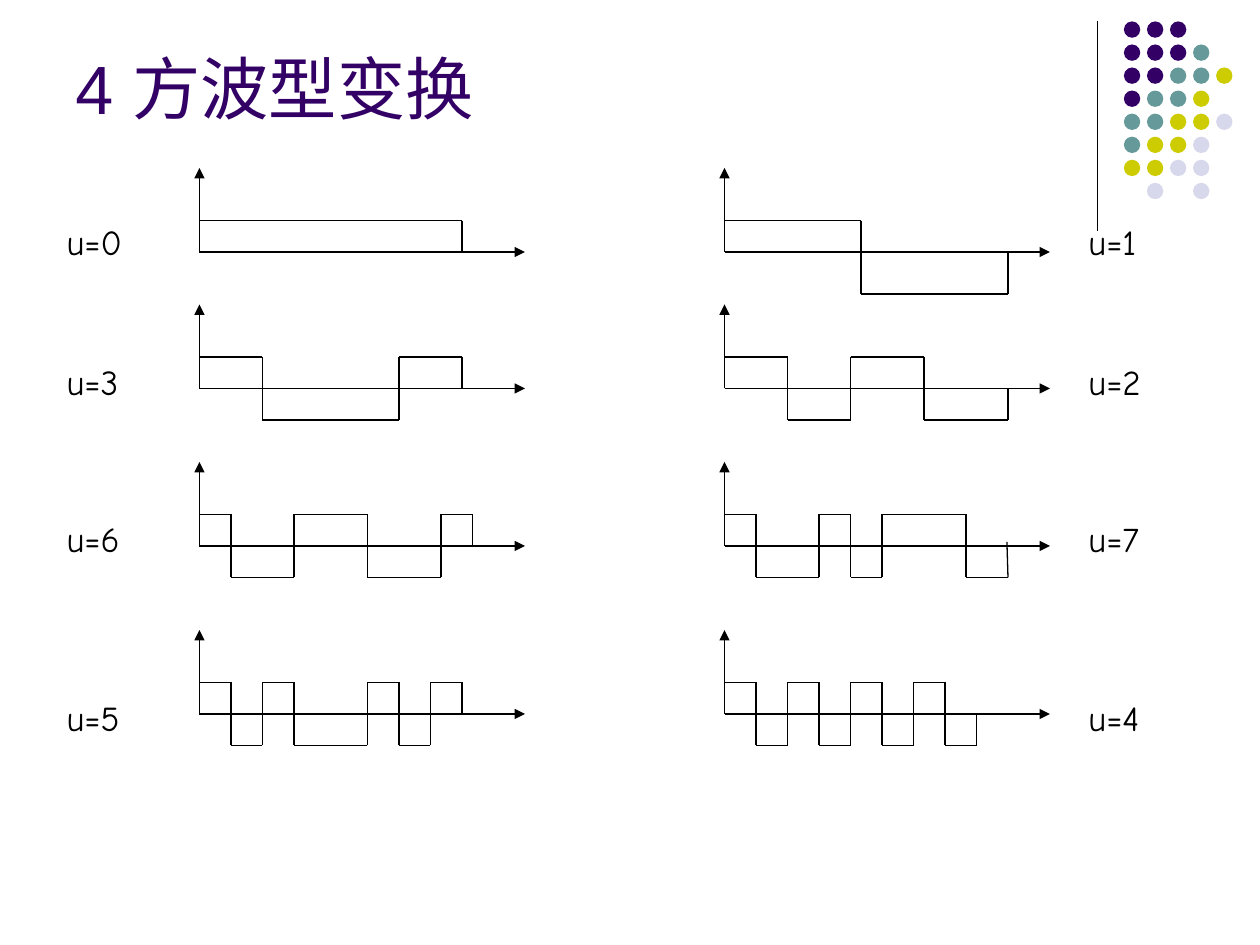
import pptx
import pptx.util
import pptx.dml.color
import pptx.enum.shapes
import pptx.enum.text
import pptx.oxml
import pptx.oxml.ns
from dataclasses import dataclass

Inches, Pt = pptx.util.Inches, pptx.util.Pt


@dataclass(frozen=True)
class Theme:
    ink: str = "000000"
    title: str = "330066"
    title_font: str = "Arial"
    label_font: str = "Comic Neue"
    title_size: float = 39
    label_size: float = 20
    label_space: float = 12.5
    line_width: float = 0.75


THEME = Theme()
TITLE = "4 方波型变换"

# Corner ornament: one letter per dot, a dot in the string leaves a gap
DOT_COLORS = {"P": "330066", "T": "669999", "Y": "CCCC00", "L": "D8D8EC"}
DOT_ROWS = ["PPP", "PPPT", "PPTTY", "PTTY", "TTYYL", "TYYL", "YYLL", ".L.L"]
DOT_LEFT, DOT_TOP, DOT_PITCH, DOT_SIZE = 8.92, 0.17, 0.183, 0.13

# Waves are drawn on a grid of twelfths of an inch
UNIT = 1 / 12
ORIGINS = [19, 69]
AXIS_ROWS = [24, 37, 52, 68]
AXIS_LENGTH, AXIS_HEIGHT = 31, 8
HIGH = 3

# Each wave starts high and changes sign at every switch; the last one ends it
WAVES = [
    [{"u": 0, "switches": [25]},
     {"u": 1, "switches": [13, 27], "low": 4}],
    [{"u": 3, "switches": [6, 19, 25]},
     {"u": 2, "switches": [6, 12, 19, 27]}],
    [{"u": 6, "switches": [3, 9, 16, 23, 26]},
     {"u": 7, "switches": [3, 9, 12, 15, 23, 27], "end": (26.9, 0.4)}],
    [{"u": 5, "switches": [3, 6, 9, 16, 19, 22, 25]},
     {"u": 4, "switches": list(range(3, 25, 3))}],
]
LABEL_LEFTS = [0.43, 8.54]
LABEL_TOPS = [1.7, 2.81, 4.06, 5.48]


def rgb(color):
    return pptx.dml.color.RGBColor.from_string(color)


def add_line(slide, start, end, arrow=False):
    line = slide.shapes.add_connector(
        pptx.enum.shapes.MSO_CONNECTOR.STRAIGHT,
        *(Inches(value) for value in (*start, *end)))
    line.line.color.rgb = rgb(THEME.ink)
    line.line.width = Pt(THEME.line_width)
    if arrow:
        head = pptx.oxml.parse_xml(
            f'<a:tailEnd {pptx.oxml.ns.nsdecls("a")} type="triangle"/>')
        line.line._get_or_add_ln().append(head)
    line._element.spPr.append(
        pptx.oxml.parse_xml(f'<a:effectLst {pptx.oxml.ns.nsdecls("a")}/>'))


def add_text(slide, box, text, font, size, color):
    frame = slide.shapes.add_textbox(*map(Inches, box)).text_frame
    frame.word_wrap = True
    frame.text = text
    style = frame.paragraphs[0].runs[0].font
    style.name, style.size, style.color.rgb = font, Pt(size), rgb(color)
    return frame


def add_ornament(slide):
    add_line(slide, (8.71, 0.17), (8.71, 1.83))
    for row, letters in enumerate(DOT_ROWS):
        for column, letter in enumerate(letters):
            if letter not in DOT_COLORS:
                continue
            dot = slide.shapes.add_shape(
                pptx.enum.shapes.MSO_SHAPE.OVAL,
                Inches(DOT_LEFT + column * DOT_PITCH),
                Inches(DOT_TOP + row * DOT_PITCH),
                Inches(DOT_SIZE), Inches(DOT_SIZE))
            dot.shadow.inherit = False
            dot.fill.solid()
            dot.fill.fore_color.rgb = rgb(DOT_COLORS[letter])
            dot.line.fill.background()


def wave_points(switches, low=HIGH, end=None):
    levels = [HIGH if i % 2 == 0 else -low for i in range(len(switches))]
    points = []
    for start, stop, level in zip([0] + switches, switches, levels):
        points += [(start, level), (stop, level)]
    return points + [end or (switches[-1], 0)]


def add_wave(slide, origin, axis, wave):
    def place(point):
        return (origin + point[0]) * UNIT, (axis - point[1]) * UNIT

    # Axes
    for tip in [(0, AXIS_HEIGHT), (AXIS_LENGTH, 0)]:
        add_line(slide, place((0, 0)), place(tip), arrow=True)

    # Square wave
    shape = {key: value for key, value in wave.items() if key != "u"}
    points = [place(point) for point in wave_points(**shape)]
    for start, end in zip(points, points[1:]):
        add_line(slide, start, end)


def main():
    deck = pptx.Presentation()
    deck.slide_width, deck.slide_height = Inches(10), Inches(7.5)
    slide = deck.slides.add_slide(deck.slide_layouts[6])

    add_ornament(slide)

    # Title
    title = add_text(slide, (0.5, 0.13, 8.25, 0.94), TITLE,
                     THEME.title_font, THEME.title_size, THEME.title)
    title.vertical_anchor = pptx.enum.text.MSO_ANCHOR.BOTTOM

    # Waves with their labels
    for axis, top, pair in zip(AXIS_ROWS, LABEL_TOPS, WAVES):
        for origin, left, wave in zip(ORIGINS, LABEL_LEFTS, pair):
            add_wave(slide, origin, axis, wave)
            label = add_text(slide, (left, top, 0.94, 0.44), f"u={wave['u']}",
                             THEME.label_font, THEME.label_size, THEME.ink)
            label.paragraphs[0].space_before = Pt(THEME.label_space)

    deck.save("out.pptx")


if __name__ == "__main__":
    main()
